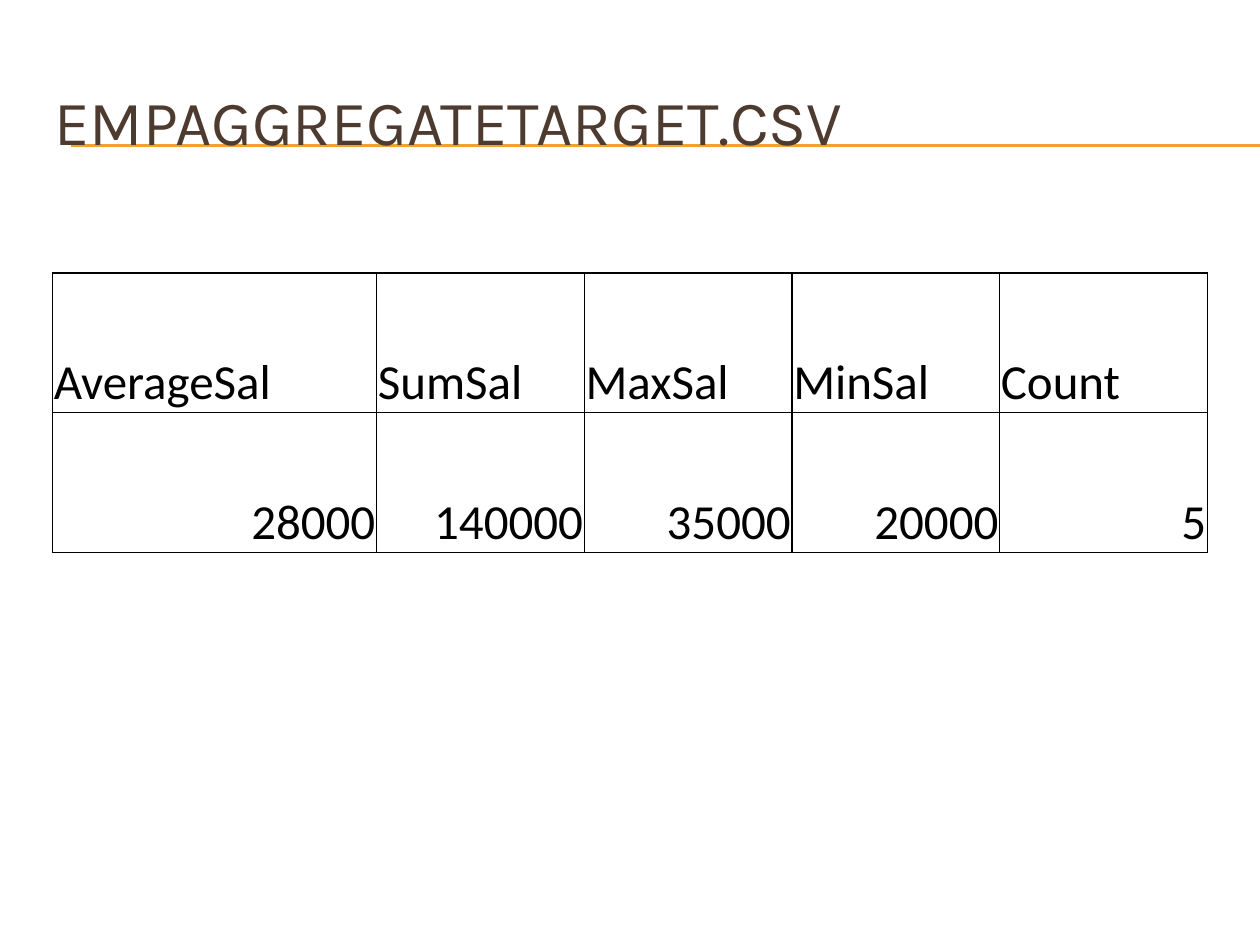
from lxml import etree
from pptx import Presentation
from pptx import util as u
from pptx.dml.color import RGBColor
from pptx.enum import shapes, text
from pptx.oxml import ns

Pt = u.Pt
WHITE = RGBColor(0xFF, 0xFF, 0xFF)
BLACK = RGBColor(0, 0, 0)
BROWN = RGBColor(0x4E, 0x3B, 0x30)
AMBER = RGBColor(0xF0, 0xA2, 0x2E)


class Deck:
    title_font, body_font = "Karla", "Calibri"
    title_size, body_size = 36, 28

    def __init__(self, width, height):
        self.prs = Presentation()
        self.prs.slide_width, self.prs.slide_height = Pt(width), Pt(height)

    def slide(self):
        self.s = self.prs.slides.add_slide(self.prs.slide_layouts[6])
        fill = self.s.background.fill
        fill.solid()
        fill.fore_color.rgb = WHITE

    def run(self, p, words, font, size, color):
        r = p.add_run()
        r.text = words
        r.font.name, r.font.size = font, Pt(size)
        r.font.color.rgb = color

    def rule(self, x1, x2, y):
        sp = self.s.shapes.add_connector(
            shapes.MSO_CONNECTOR.STRAIGHT, Pt(x1), Pt(y), Pt(x2), Pt(y))
        sp.line.color.rgb = AMBER
        sp.line.width = Pt(0.75)
        etree.SubElement(sp._element.spPr, ns.qn("a:effectLst"))

    def title(self, words, x, y, w, h):
        tf = self.s.shapes.add_textbox(Pt(x), Pt(y), Pt(w), Pt(h)).text_frame
        tf.word_wrap = True
        tf.vertical_anchor = text.MSO_ANCHOR.MIDDLE
        self.run(tf.paragraphs[0], words, self.title_font, self.title_size, BROWN)

    def borders(self, cell):
        props = cell._tc.get_or_add_tcPr()
        for i, side in enumerate(("lnL", "lnR", "lnT", "lnB")):
            ln = etree.Element(ns.qn(f"a:{side}"), w=str(Pt(1)))
            fill = etree.SubElement(ln, ns.qn("a:solidFill"))
            etree.SubElement(fill, ns.qn("a:srgbClr"), val=str(BLACK))
            props.insert(i, ln)

    def table(self, rows, x, y, widths, row_height):
        table = self.s.shapes.add_table(
            len(rows), len(widths), Pt(x), Pt(y),
            Pt(sum(widths)), Pt(row_height * len(rows))).table
        table.first_row = table.horz_banding = False
        for column, width in zip(table.columns, widths):
            column.width = Pt(width)
        for i, row in enumerate(rows):
            table.rows[i].height = Pt(row_height)
            for j, words in enumerate(row):
                cell = table.cell(i, j)
                cell.fill.background()
                cell.vertical_anchor = text.MSO_ANCHOR.BOTTOM
                cell.margin_left = cell.margin_right = cell.margin_top = Pt(0.75)
                cell.margin_bottom = 0
                self.borders(cell)
                p = cell.text_frame.paragraphs[0]
                # Numbers align right, headings left
                p.alignment = (text.PP_ALIGN.RIGHT if words.isdigit()
                               else text.PP_ALIGN.LEFT)
                self.run(p, words, self.body_font, self.body_size, BLACK)


def main():
    deck = Deck(720, 540)
    deck.slide()

    # Double rule behind the title
    for y in (82.8, 83.5):
        deck.rule(40.5, 720, y)

    # Title
    deck.title("EMPAGGREGATETARGET.CSV", 24, 36, 684, 66)

    # Salary summary
    rows = [
        ("AverageSal", "SumSal", "MaxSal", "MinSal", "Count"),
        ("28000", "140000", "35000", "20000", "5"),
    ]
    deck.table(rows, 30, 156, [185.2] + [118.7] * 4, 79.8)

    deck.prs.save("out.pptx")


if __name__ == "__main__":
    main()
